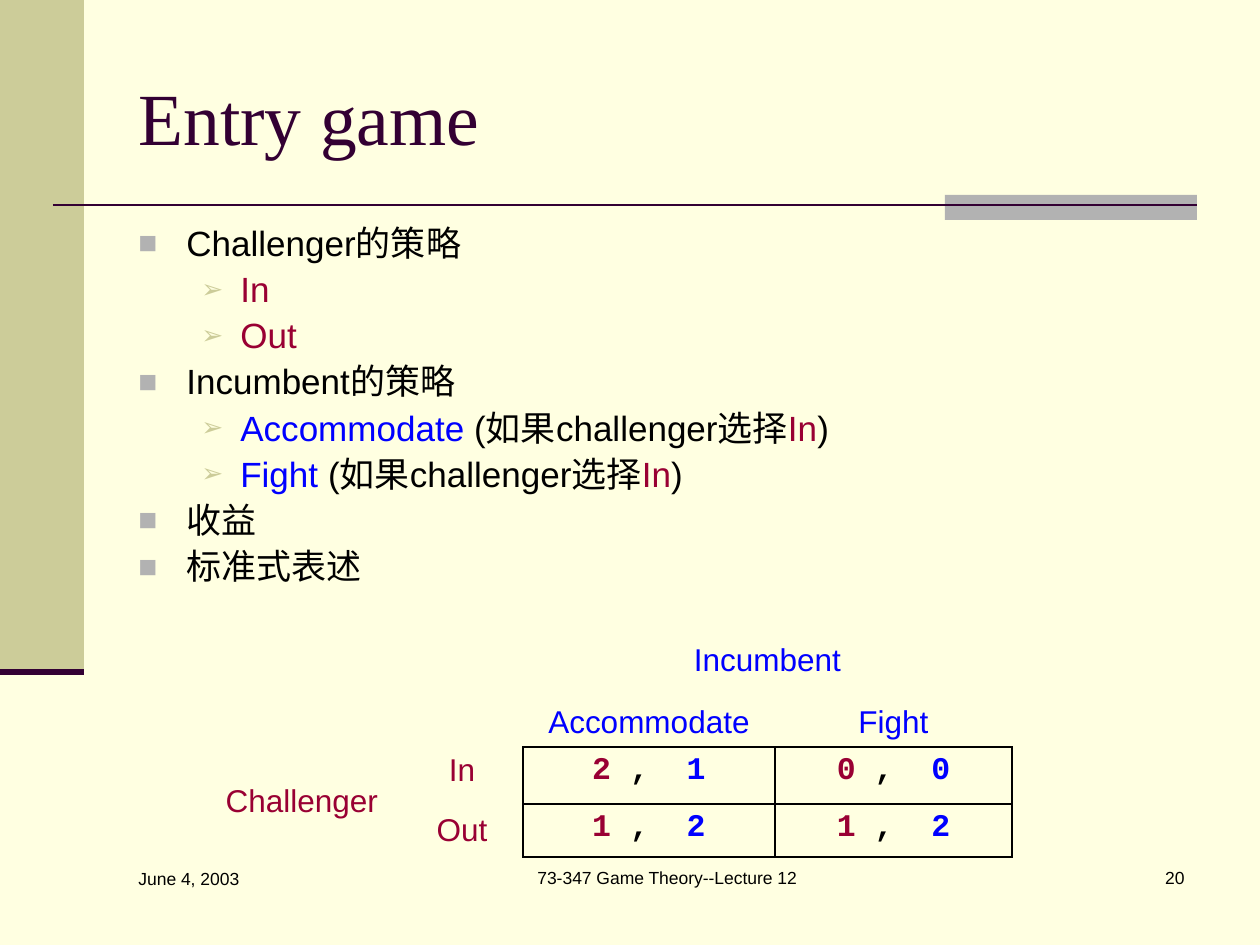
from lxml import etree
from pptx import Presentation
from pptx.dml.color import RGBColor
from pptx.enum import shapes, text
from pptx.oxml.ns import qn
from pptx.util import Pt

CREAM = RGBColor(0xFF, 0xFF, 0xE1)
KHAKI = RGBColor(0xCC, 0xCC, 0x99)
GRAY = RGBColor(0xB2, 0xB2, 0xB2)
PLUM = RGBColor(0x33, 0x00, 0x33)
BLACK = RGBColor(0x00, 0x00, 0x00)
RED = RGBColor(0x99, 0x00, 0x33)
BLUE = RGBColor(0x00, 0x00, 0xFF)

LEFT, CENTER, RIGHT = (text.PP_ALIGN.LEFT, text.PP_ALIGN.CENTER,
                       text.PP_ALIGN.RIGHT)
TOP, MIDDLE, BOTTOM = (text.MSO_ANCHOR.TOP, text.MSO_ANCHOR.MIDDLE,
                       text.MSO_ANCHOR.BOTTOM)

TITLE = "Entry game"
WHEN_IN = [("(如果challenger选择", BLACK), ("In", RED), (")", BLACK)]
POINTS = [  # level, runs
    (0, [("Challenger的策略", BLACK)]),
    (1, [("In", RED)]),
    (1, [("Out", RED)]),
    (0, [("Incumbent的策略", BLACK)]),
    (1, [("Accommodate ", BLUE)] + WHEN_IN),
    (1, [("Fight ", BLUE)] + WHEN_IN),
    (0, [("收益", BLACK)]),
    (0, [("标准式表述", BLACK)]),
]
BULLETS = [  # sign, colour, size %, text indent, hanging indent
    ("■", GRAY, 90, 48, 48),
    ("➢", KHAKI, 75, 102, 39),
]
FOOTERS = [  # text, box, alignment
    ("June 4, 2003", (126, 862, 273, 63), LEFT),
    ("73-347 Game Theory--Lecture 12", (462, 861, 410, 63), CENTER),
    ("20", (935, 861, 262, 63), RIGHT),
]
BANDS = [((0, 0, 84, 672), KHAKI), ((945, 195, 252, 25), GRAY)]
RULES = [((53, 205, 1197, 205), 1.5), ((0, 672, 84, 672), 3.5)]

GRID_AT = (213, 632)
COLS = [188, 122, 252, 237]
ROWS = [53, 62, 57, 53]
MERGES = [((0, 0), (0, 1)), ((0, 2), (0, 3)), ((2, 0), (3, 0))]
LABELS = [  # row, column, text, colour, anchor, alignment
    (0, 2, "Incumbent", BLUE, BOTTOM, CENTER),
    (1, 2, "Accommodate", BLUE, BOTTOM, CENTER),
    (1, 3, "Fight", BLUE, BOTTOM, CENTER),
    (2, 0, "Challenger", RED, MIDDLE, LEFT),
    (2, 1, "In", RED, TOP, CENTER),
    (3, 1, "Out", RED, MIDDLE, CENTER),
]
PAYOFFS = [[("2 ", ", ", " 1"), ("0 ", ",  ", "0")],
           [("1 ", ",  ", "2"), ("1 ", ",  ", "2")]]
NO_STYLE = "{2D5ABB26-0587-4C30-8999-92F81FD0307C}"


def px(*nums):
    return [round(n * 914400 / 126) for n in nums]


def write(para, runs, size, face="Arial", bold=False, align=LEFT):
    para.alignment = align
    for words, color in runs:
        run = para.add_run()
        run.text = words
        form = {"name": face, "size": Pt(size), "bold": bold}
        for key, value in form.items():
            setattr(run.font, key, value)
        run.font.color.rgb = color


def add_box(slide, box):
    frame = slide.shapes.add_textbox(*px(*box)).text_frame
    frame.word_wrap = True
    return frame


def add_bullet(para, level):
    sign, color, size, left, hang = BULLETS[level]
    para.level = level
    props = para._p.get_or_add_pPr()
    props.set("marL", str(px(left)[0]))
    props.set("indent", str(px(-hang)[0]))
    tint = etree.SubElement(props, qn("a:buClr"))
    etree.SubElement(tint, qn("a:srgbClr"), val=str(color))
    etree.SubElement(props, qn("a:buSzPct"), val=str(size * 1000))
    etree.SubElement(props, qn("a:buFont"), typeface="Arial")
    etree.SubElement(props, qn("a:buChar"), char=sign)


def add_border(cell, sides):
    props = cell._tc.get_or_add_tcPr()
    for side in sides:
        line = etree.SubElement(props, qn("a:ln" + side), w=str(Pt(1)))
        fill = etree.SubElement(line, qn("a:solidFill"))
        etree.SubElement(fill, qn("a:srgbClr"), val=str(BLACK))


def add_frame(slide):
    for box, color in BANDS:
        band = slide.shapes.add_shape(shapes.MSO_SHAPE.RECTANGLE, *px(*box))
        band.shadow.inherit = False
        band.fill.solid()
        band.fill.fore_color.rgb = color
        band.line.fill.background()
    for ends, width in RULES:
        rule = slide.shapes.add_connector(shapes.MSO_CONNECTOR.STRAIGHT,
                                          *px(*ends))
        rule.line.color.rgb = PLUM
        rule.line.width = Pt(width)
        etree.SubElement(rule._element.spPr, qn("a:effectLst"))


def add_title(slide):
    title = slide.shapes.title
    title.left, title.top, title.width, title.height = px(126, 38, 1071, 157)
    title.text_frame.vertical_anchor = MIDDLE
    write(title.text_frame.paragraphs[0], [(TITLE, PLUM)], 42,
          "Times New Roman")


def add_points(slide):
    frame = add_box(slide, (126, 220, 1071, 381))
    for i, (level, runs) in enumerate(POINTS):
        para = frame.add_paragraph() if i else frame.paragraphs[0]
        para.line_spacing = 0.9
        if i:
            para.space_before = Pt(4.8)
        add_bullet(para, level)
        write(para, runs, 20)


def add_matrix(slide):
    shape = slide.shapes.add_table(len(ROWS), len(COLS), *px(*GRID_AT),
                                   *px(sum(COLS), sum(ROWS)))
    table = shape.table
    table.first_row = table.horz_banding = False
    table._tbl.tblPr.find(qn("a:tableStyleId")).text = NO_STYLE
    for col, width in zip(table.columns, px(*COLS)):
        col.width = width
    for row, height in zip(table.rows, px(*ROWS)):
        row.height = height
    for first, last in MERGES:
        table.cell(*first).merge(table.cell(*last))

    for row, col, words, color, anchor, align in LABELS:
        cell = table.cell(row, col)
        cell.vertical_anchor = anchor
        write(cell.text_frame.paragraphs[0], [(words, color)], 18,
              align=align)
    for r, line in enumerate(PAYOFFS, 2):
        for c, parts in enumerate(line, 2):
            cell = table.cell(r, c)
            write(cell.text_frame.paragraphs[0],
                  zip(parts, (RED, BLACK, BLUE)), 18, "Courier New", True,
                  CENTER)
            add_border(cell, "LRTB")
    for cell in table.iter_cells():
        cell.fill.background()


def main():
    deck = Presentation()
    deck.slide_width, deck.slide_height = px(1260, 945)
    slide = deck.slides.add_slide(deck.slide_layouts[5])
    slide.background.fill.solid()
    slide.background.fill.fore_color.rgb = CREAM
    add_frame(slide)
    add_title(slide)
    add_points(slide)
    add_matrix(slide)
    for words, box, align in FOOTERS:
        write(add_box(slide, box).paragraphs[0], [(words, BLACK)], 10,
              align=align)
    deck.save("out.pptx")


if __name__ == "__main__":
    main()
